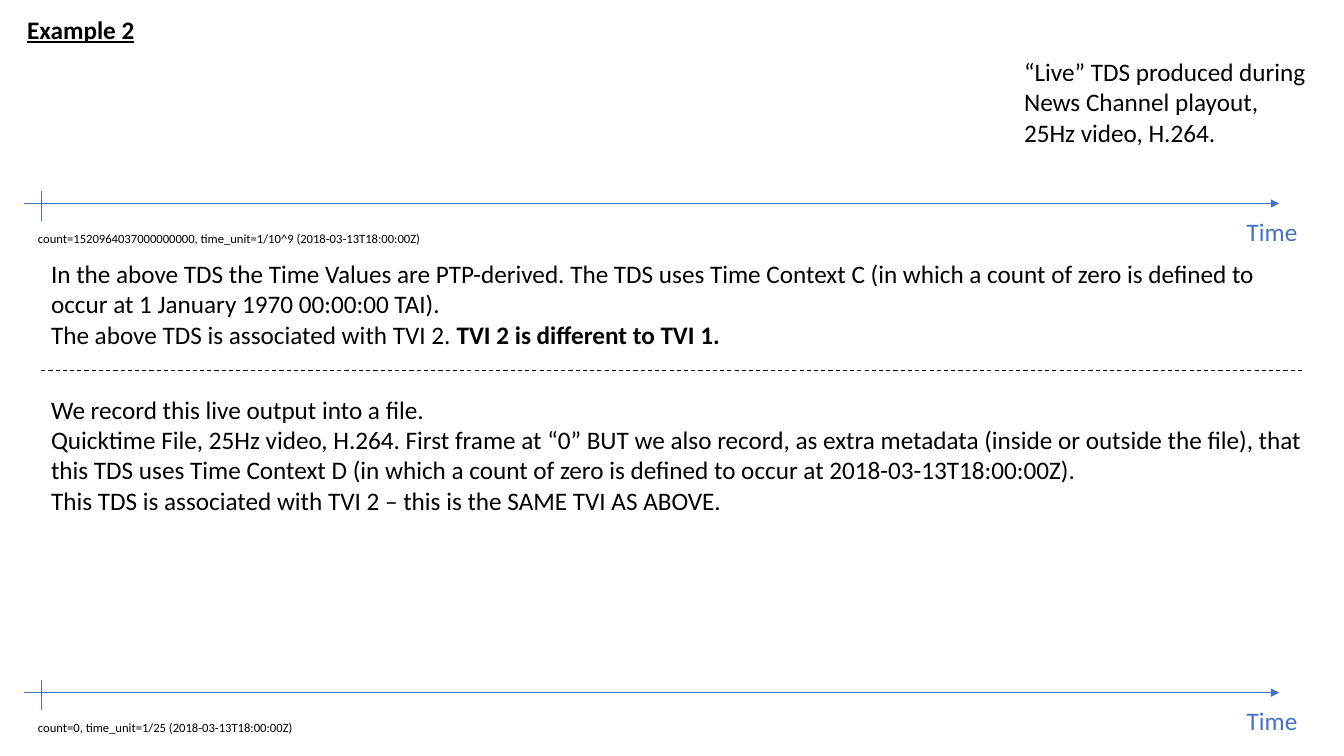
from dataclasses import dataclass
from typing import NamedTuple

from lxml import etree
from pptx import Presentation
from pptx.dml.color import RGBColor
from pptx.enum.dml import MSO_LINE
from pptx.enum.shapes import MSO_CONNECTOR
from pptx.enum.text import MSO_ANCHOR, MSO_AUTO_SIZE, PP_ALIGN
from pptx.oxml.ns import qn
from pptx.util import Pt

STRAIGHT = MSO_CONNECTOR.STRAIGHT
DASH = MSO_LINE.DASH
TOP = MSO_ANCHOR.TOP
LEFT = PP_ALIGN.LEFT
FIXED = MSO_AUTO_SIZE.NONE

FONT = "Calibri"
BLACK = "000000"
BLUE = "4472C4"
TITLE_ONLY = 5


class Box(NamedTuple):
    left: float
    top: float
    width: float
    height: float


class Words(NamedTuple):
    text: str
    bold: bool = False
    underline: bool = False


@dataclass
class Passage:
    box: Box
    paragraphs: list[list[Words]]
    size: float = 18
    color: str = BLACK
    wrap: bool = True


@dataclass
class Timeline:
    y: float
    start_count: str
    count_width: float


TITLE = Passage(
    Box(12.2, 6.5, 91.5, 28.8),
    [[Words("Example 2", bold=True, underline=True)]],
    wrap=False,
)

PASSAGES = [
    Passage(
        Box(724.4, 36.8, 222, 72.7),
        [[Words("“Live” TDS produced during News Channel playout, 25Hz video, H.264.")]],
    ),
    Passage(
        Box(29.4, 181, 903, 72.7),
        [
            [Words(
                "In the above TDS the Time Values are PTP-derived. The TDS uses Time Context C "
                "(in which a count of zero is defined to occur at 1 January 1970 00:00:00 TAI)."
            )],
            [
                Words("The above TDS is associated with TVI 2. "),
                Words("TVI 2 is different to TVI 1.", bold=True),
            ],
        ],
    ),
    Passage(
        Box(29.4, 278, 917.3, 94.5),
        [
            [Words("We record this live output into a file.")],
            [Words(
                "Quicktime File, 25Hz video, H.264. First frame at “0” BUT we also record, "
                "as extra metadata (inside or outside the file), that this TDS uses Time Context D "
                "(in which a count of zero is defined to occur at 2018-03-13T18:00:00Z)."
            )],
            [Words("This TDS is associated with TVI 2 – this is the SAME TVI AS ABOVE.")],
        ],
    ),
]

TIMELINES = [
    Timeline(
        145.4,
        "count=1520964037000000000, time_unit=1/10^9 (2018-03-13T18:00:00Z)",
        288,
    ),
    Timeline(494.8, "count=0, time_unit=1/25 (2018-03-13T18:00:00Z)", 197.3),
]


def rgb(color: str) -> RGBColor:
    return RGBColor.from_string(color)


def fill_passage(holder, passage: Passage) -> None:
    holder.left, holder.top, holder.width, holder.height = map(Pt, passage.box)
    frame = holder.text_frame
    frame.auto_size = FIXED
    frame.word_wrap = passage.wrap
    frame.vertical_anchor = TOP
    for index, line in enumerate(passage.paragraphs):
        paragraph = frame.add_paragraph() if index else frame.paragraphs[0]
        paragraph.alignment = LEFT
        for words in line:
            run = paragraph.add_run()
            run.text = words.text
            run.font.name = FONT
            run.font.size = Pt(passage.size)
            run.font.bold = words.bold
            run.font.underline = words.underline
            run.font.color.rgb = rgb(passage.color)


def add_passage(slide, passage: Passage) -> None:
    fill_passage(slide.shapes.add_textbox(0, 0, 0, 0), passage)


def add_line(slide, x1: float, y1: float, x2: float, y2: float,
             color: str = BLUE, weight: float = 0.5,
             arrow: bool = False, dashed: bool = False) -> None:
    connector = slide.shapes.add_connector(STRAIGHT, Pt(x1), Pt(y1), Pt(x2), Pt(y2))
    connector.line.color.rgb = rgb(color)
    connector.line.width = Pt(weight)
    if dashed:
        connector.line.dash_style = DASH
    properties = connector.element.spPr
    if arrow:
        etree.SubElement(properties.find(qn("a:ln")), qn("a:tailEnd"), type="triangle")
    etree.SubElement(properties, qn("a:effectLst"))


def add_timeline(slide, timeline: Timeline) -> None:
    y = timeline.y
    add_line(slide, 17.3, y, 913.7, y, arrow=True)
    add_line(slide, 29.4, y - 9.2, 29.4, y + 12.4)
    add_passage(slide, Passage(
        Box(883.4, y + 5.3, 51.1, 28.8), [[Words("Time")]], color=BLUE, wrap=False,
    ))
    add_passage(slide, Passage(
        Box(20, y + 16.1, timeline.count_width, 18),
        [[Words(timeline.start_count)]], size=9, wrap=False,
    ))


def main() -> None:
    deck = Presentation()
    deck.slide_width, deck.slide_height = Pt(960), Pt(540)
    slide = deck.slides.add_slide(deck.slide_layouts[TITLE_ONLY])
    fill_passage(slide.shapes.title, TITLE)
    for timeline in TIMELINES:
        add_timeline(slide, timeline)
    for passage in PASSAGES:
        add_passage(slide, passage)
    add_line(slide, 29.4, 265, 930.2, 265, color=BLACK, weight=0.75, dashed=True)
    deck.save("out.pptx")


if __name__ == "__main__":
    main()
